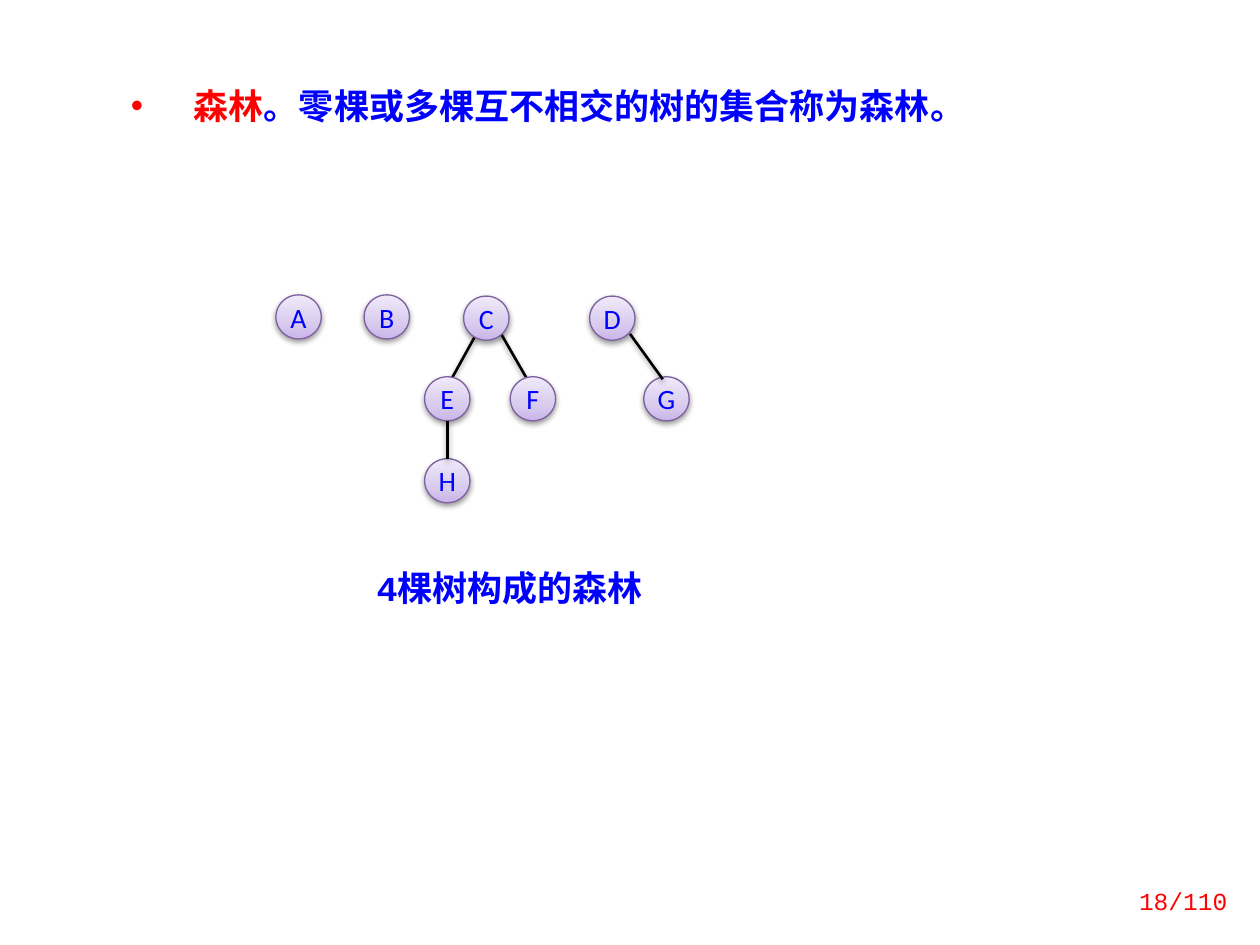
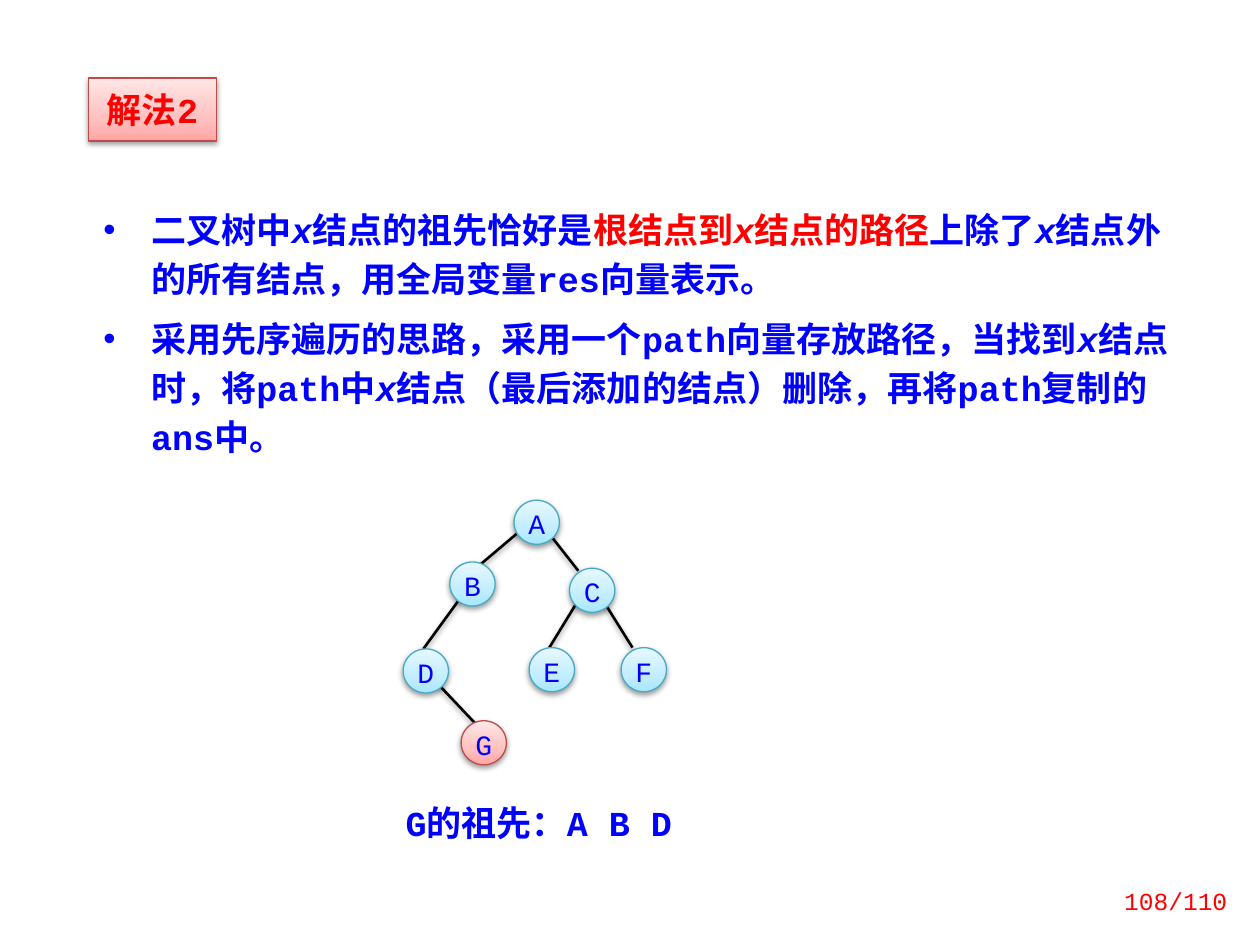
"""Build two slides on forests and on the ancestors of a binary tree node."""
from dataclasses import dataclass

from pptx import Presentation
from pptx.dml.color import RGBColor
from pptx.enum.shapes import MSO_CONNECTOR, MSO_SHAPE
from pptx.enum.text import MSO_ANCHOR, PP_ALIGN
from pptx.oxml import parse_xml
from pptx.oxml.ns import nsdecls, qn
from pptx.util import Inches, Pt


@dataclass(frozen=True)
class Theme:
    blue: str = "0000FF"
    red: str = "FF0000"
    black: str = "000000"
    white: str = "FFFFFF"
    purple_node: tuple = ("C9B5E8", "D8CBEE", "F0EAF9", "7D60A0")
    cyan_node: tuple = ("A7E6FF", "C1EDFF", "E7F8FF", "46AAC5")
    pink_node: tuple = ("FFA6A5", "FFC0BF", "FFE7E7", "BF4C48")
    code: str = "Courier New"
    latin: str = "Calibri"
    chinese: str = "Noto Sans CJK SC"
    body_size: int = 20
    node_size: int = 16
    page_size: int = 14


theme = Theme()


def decorate(shape, line_color, line_width, gradient=()):
    """Give a shape its outline, shadow and optional gradient."""
    shape.line.color.rgb = RGBColor.from_string(line_color)
    shape.line.width = Pt(line_width)
    properties = shape._element.spPr
    if gradient:
        stops = "".join(
            f'<a:gs pos="{position}"><a:srgbClr val="{color}"/></a:gs>'
            for position, color in zip((0, 35000, 100000), gradient)
        )
        properties.insert(2, parse_xml(
            f'<a:gradFill {nsdecls("a")} rotWithShape="1"><a:gsLst>{stops}</a:gsLst>'
            '<a:lin ang="16200000" scaled="0"/></a:gradFill>'
        ))
    properties.append(parse_xml(
        f'<a:effectLst {nsdecls("a")}><a:outerShdw blurRad="40000" dist="20000" '
        'dir="5400000" rotWithShape="0"><a:srgbClr val="000000">'
        '<a:alpha val="38000"/></a:srgbClr></a:outerShdw></a:effectLst>'
    ))


def write(frame, paragraphs, size, font=theme.code, bold=True,
          align=PP_ALIGN.LEFT, indent=0):
    """Fill a frame with paragraphs of (text, colour) runs; x is italic."""
    frame.word_wrap = True
    for number, runs in enumerate(paragraphs):
        paragraph = frame.add_paragraph() if number else frame.paragraphs[0]
        paragraph.alignment = align
        for text, color in runs:
            run = paragraph.add_run()
            run.text = text
            run.font.size = Pt(size)
            run.font.name = font
            run.font.bold = bold
            run.font.italic = text == "x"
            run.font.color.rgb = RGBColor.from_string(color)
            east_asian = run._r.get_or_add_rPr().find(qn("a:latin"))
            east_asian.addnext(parse_xml(
                f'<a:ea {nsdecls("a")} typeface="{theme.chinese}"/>'
            ))
        if indent:
            layout = paragraph._p.get_or_add_pPr()
            layout.set("marL", str(Inches(indent)))
            layout.set("indent", str(-Inches(indent)))
            layout.append(parse_xml(f'<a:buFont {nsdecls("a")} typeface="Arial"/>'))
            layout.append(parse_xml(f'<a:buChar {nsdecls("a")} char="•"/>'))


presentation = Presentation()
presentation.slide_width = Inches(10)
presentation.slide_height = Inches(7.5)
blank = presentation.slide_layouts[6]
forest_slide = presentation.slides.add_slide(blank)
ancestor_slide = presentation.slides.add_slide(blank)

definition = forest_slide.shapes.add_textbox(
    Inches(0.94), Inches(0.62), Inches(8.33), Inches(0.44))
write(definition.text_frame,
      [[("森林", theme.red), ("。零棵或多棵互不相交的树的集合称为森林。", theme.blue)]],
      theme.body_size, indent=0.5)
definition.text_frame.paragraphs[0].runs[0].font.name = theme.chinese

heading = ancestor_slide.shapes.add_shape(
    MSO_SHAPE.RECTANGLE, Inches(0.7), Inches(0.62), Inches(1.02), Inches(0.5))
decorate(heading, theme.pink_node[3], 0.75, theme.pink_node[:3])
heading.text_frame.margin_top = heading.text_frame.margin_bottom = Inches(0.08)
heading.text_frame.vertical_anchor = MSO_ANCHOR.TOP
write(heading.text_frame, [[("解法2", theme.red)]], theme.body_size,
      align=PP_ALIGN.CENTER)

explanation = ancestor_slide.shapes.add_shape(
    MSO_SHAPE.RECTANGLE, Inches(0.7), Inches(1.48), Inches(8.83), Inches(2.26))
explanation.shadow.inherit = False
explanation.fill.solid()
explanation.fill.fore_color.rgb = RGBColor.from_string(theme.white)
explanation.line.fill.background()
explanation_frame = explanation.text_frame
explanation_frame.vertical_anchor = MSO_ANCHOR.TOP
explanation_frame.margin_left = Inches(0.12)
explanation_frame.margin_top = explanation_frame.margin_bottom = Inches(0.12)
write(explanation_frame, [
    [("二叉树中", theme.blue), ("x", theme.blue), ("结点的祖先恰好是", theme.blue),
     ("根结点到", theme.red), ("x", theme.red), ("结点的路径", theme.red),
     ("上除了", theme.blue), ("x", theme.blue),
     ("结点外的所有结点，用全局变量res向量表示。", theme.blue)],
    [("采用先序遍历的思路，采用一个path向量存放路径，当找到", theme.blue),
     ("x", theme.blue), ("结点时，将path中", theme.blue), ("x", theme.blue),
     ("结点（最后添加的结点）删除，再将path复制的ans中。", theme.blue)],
], theme.body_size, indent=0.38)
for point in explanation_frame.paragraphs:
    point.line_spacing = Pt(28)
    point.space_before = Pt(6)

forest_nodes = {
    "A": (2.19, 2.34), "B": (2.89, 2.34), "C": (3.68, 2.35), "D": (4.68, 2.35),
    "E": (3.37, 2.99), "F": (4.05, 2.99), "H": (3.37, 3.64), "G": (5.11, 2.99),
}
forest_back_edges = [(3.77, 2.67, 3.56, 3.05), (3.96, 2.62, 4.19, 3.02)]
forest_front_edges = [(5, 2.65, 5.26, 3.01), (3.55, 3.34, 3.55, 3.64)]
binary_nodes = {
    "A": (4.08, 3.97), "B": (3.57, 4.46), "C": (4.52, 4.51), "E": (4.2, 5.14),
    "F": (4.93, 5.14), "D": (3.2, 5.15), "G": (3.66, 5.72),
}
binary_edges = [
    (4.37, 4.25, 4.59, 4.53), (4.58, 4.78, 4.36, 5.14), (3.44, 5.39, 3.78, 5.75),
    (4.77, 4.74, 5.02, 5.14), (3.68, 4.71, 3.36, 5.15), (4.25, 4.11, 3.73, 4.55),
]

for slide, nodes, back_edges, front_edges, palette, marked, font, anchor in (
    (forest_slide, forest_nodes, forest_back_edges, forest_front_edges,
     theme.purple_node, "", theme.latin, MSO_ANCHOR.MIDDLE),
    (ancestor_slide, binary_nodes, binary_edges, [],
     theme.cyan_node, "G", theme.code, MSO_ANCHOR.TOP),
):
    tree = slide.shapes.add_group_shape().shapes
    drawing_order = [*back_edges, *nodes, *front_edges]
    for part in drawing_order:
        if part not in nodes:
            edge = tree.add_connector(MSO_CONNECTOR.STRAIGHT, *map(Inches, part))
            decorate(edge, theme.black, 1.5)
            continue
        left, top = nodes[part]
        node = tree.add_shape(MSO_SHAPE.OVAL, Inches(left), Inches(top),
                              Inches(0.36), Inches(0.35))
        colors = theme.pink_node if part == marked else palette
        decorate(node, colors[3], 0.75, colors[:3])
        label = node.text_frame
        label.margin_left = label.margin_right = 0
        label.margin_top = label.margin_bottom = 0
        label.vertical_anchor = anchor
        write(label, [[(part, theme.blue)]], theme.node_size, font,
              bold=False, align=PP_ALIGN.CENTER)

for slide, caption_text, left, top, width, page_text in (
    (forest_slide, "4棵树构成的森林", 2.89, 4.45, 2.89, "18/110"),
    (ancestor_slide, "G的祖先：A B D", 3.12, 6.31, 2.58, "108/110"),
):
    caption = slide.shapes.add_textbox(
        Inches(left), Inches(top), Inches(width), Inches(0.44))
    write(caption.text_frame, [[(caption_text, theme.blue)]], theme.body_size)
    page = slide.shapes.add_textbox(
        Inches(8.7), Inches(6.95), Inches(1.14), Inches(0.4))
    page.text_frame.vertical_anchor = MSO_ANCHOR.MIDDLE
    write(page.text_frame, [[(page_text, theme.red)]], theme.page_size,
          bold=False, align=PP_ALIGN.RIGHT)

presentation.save("out.pptx")
